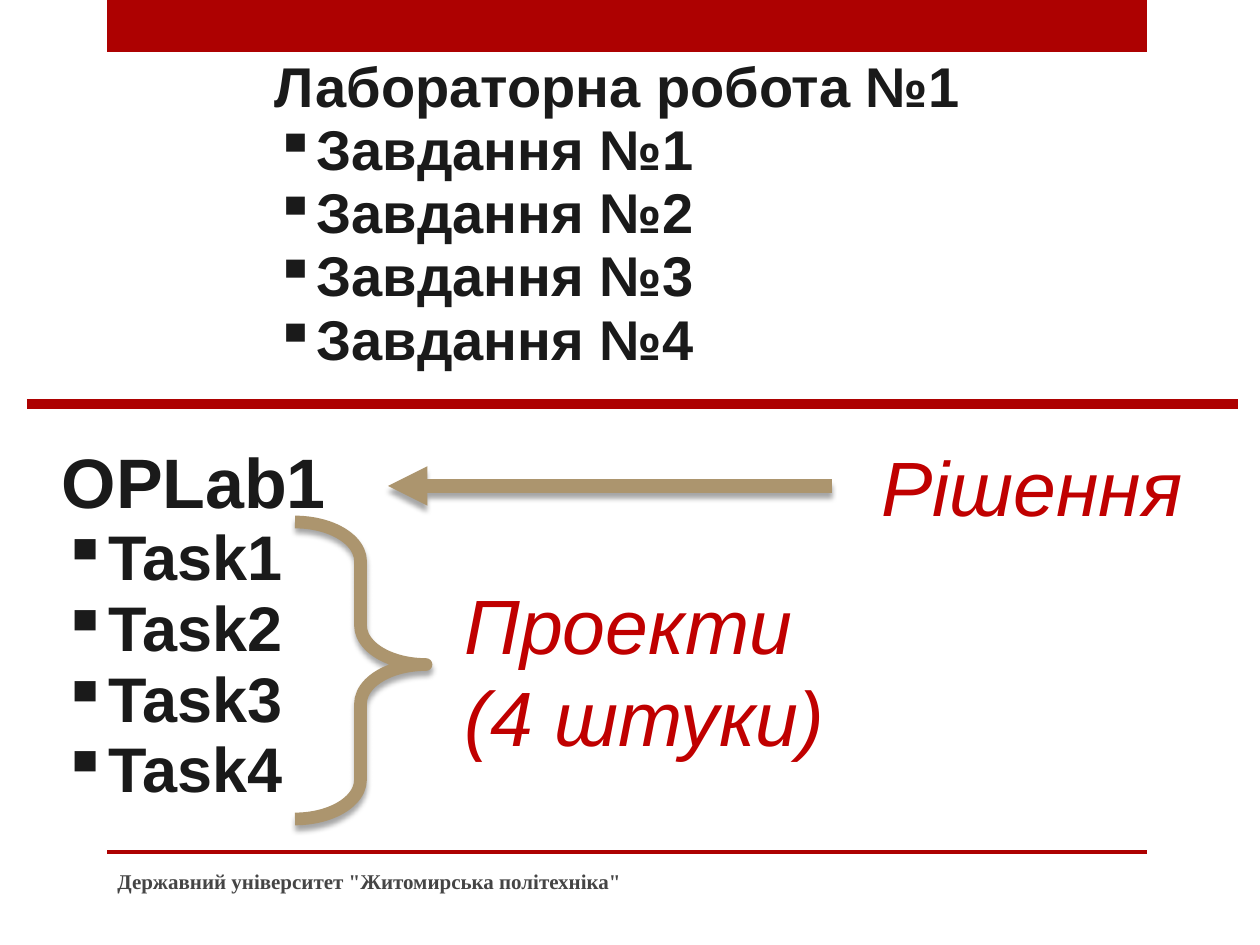
from dataclasses import dataclass

import lxml.etree
import pptx
import pptx.dml.color
import pptx.enum.shapes
import pptx.enum.text
import pptx.oxml
import pptx.oxml.ns
import pptx.util

PIXEL = 914400 // 126
COLORS = {"red": "AD0101", "accent": "C00000", "tan": "AC956E",
          "ink": "1A1A1A", "footer": "454545", "shadow": "000000"}
SHAPES = pptx.enum.shapes.MSO_SHAPE
ANCHORS = pptx.enum.text.MSO_ANCHOR


@dataclass
class Box:
    """A rectangle in pixels."""
    left: int
    top: int
    width: int
    height: int

    def emu(self) -> list[int]:
        """Return the rectangle in EMU."""
        return [side * PIXEL for side in (self.left, self.top, self.width, self.height)]


@dataclass
class Style:
    """The look of a paragraph."""
    size: int
    color: str
    bold: bool = False
    italic: bool = False
    font: str = "Arial"


@dataclass
class Outline:
    """A heading with bulleted items below it."""
    box: Box
    heading: str
    heading_size: int
    items: list[str]
    item_size: int


def rgb(name: str) -> pptx.dml.color.RGBColor:
    """Look up a named colour."""
    return pptx.dml.color.RGBColor.from_string(COLORS[name])


def add_child(parent, tag: str, **attributes: str):
    """Append a DrawingML element and return it."""
    child = lxml.etree.SubElement(parent, pptx.oxml.ns.qn(tag))
    for key, value in attributes.items():
        child.set(key, value)
    return child


def add_shadow(shape) -> None:
    """Give a shape a soft shadow that falls straight down."""
    properties = shape._element.spPr
    for effects in properties.findall(pptx.oxml.ns.qn("a:effectLst")):
        properties.remove(effects)
    effects = add_child(properties, "a:effectLst")
    shadow = add_child(effects, "a:outerShdw", blurRad="38100", dist="38100",
                       dir="5400000", rotWithShape="0")
    color = add_child(shadow, "a:srgbClr", val=COLORS["shadow"])
    add_child(color, "a:alpha", val="35000")


def add_bar(slide, box: Box) -> None:
    """Draw a plain red bar."""
    bar = slide.shapes.add_shape(SHAPES.RECTANGLE, *box.emu())
    bar.shadow.inherit = False
    bar.fill.solid()
    bar.fill.fore_color.rgb = rgb("red")
    bar.line.fill.background()


def add_line(slide, start: int, end: int, top: int, color: str, width: float):
    """Draw a horizontal line."""
    line = slide.shapes.add_connector(pptx.enum.shapes.MSO_CONNECTOR.STRAIGHT,
                                      start * PIXEL, top * PIXEL, end * PIXEL, top * PIXEL)
    line.line.color.rgb = rgb(color)
    line.line.width = pptx.util.Pt(width)
    add_child(line._element.spPr, "a:effectLst")
    return line


def add_brace(slide, box: Box) -> None:
    """Draw the right brace that gathers the projects."""
    brace = slide.shapes.add_shape(SHAPES.RIGHT_BRACE, *box.emu())
    brace.adjustments[0], brace.adjustments[1] = 0.3, 0.48
    brace.fill.background()
    brace.line.color.rgb = rgb("tan")
    brace.line.width = pptx.util.Pt(7.25)
    add_child(brace.line._get_or_add_ln(), "a:round")
    add_shadow(brace)


def style_paragraph(paragraph, text: str, style: Style) -> None:
    """Write a paragraph and set its font."""
    paragraph.text = text
    font = paragraph.font
    font.name, font.size = style.font, pptx.util.Pt(style.size)
    font.bold, font.italic = style.bold, style.italic
    font.color.rgb = rgb(style.color)


def add_text(slide, box: Box, text: str, style: Style, wrap: bool = True,
             anchor=ANCHORS.TOP) -> None:
    """Add a text box with one paragraph."""
    frame = slide.shapes.add_textbox(*box.emu()).text_frame
    frame.word_wrap = wrap
    frame.vertical_anchor = anchor
    style_paragraph(frame.paragraphs[0], text, style)


def add_outline(slide, outline: Outline) -> None:
    """Add a heading and its bulleted items."""
    frame = slide.shapes.add_textbox(*outline.box.emu()).text_frame
    frame.word_wrap = True
    for index, text in enumerate([outline.heading, *outline.items]):
        paragraph = frame.paragraphs[0] if index == 0 else frame.add_paragraph()
        size = outline.item_size if index else outline.heading_size
        style_paragraph(paragraph, text, Style(size, "ink", bold=True))
        paragraph.line_spacing = 0.9
        paragraph.space_before = pptx.util.Pt(1.5)
        properties = paragraph._p.get_or_add_pPr()
        margin, indent = (0.3, -0.25) if index else (0.05, 0)
        properties.set("marL", str(pptx.util.Inches(margin)))
        properties.set("indent", str(pptx.util.Inches(indent)))
        if index:
            bullet = pptx.oxml.parse_xml(
                f'<a:buChar {pptx.oxml.ns.nsdecls("a")} char="▪"/>')
            properties.find(pptx.oxml.ns.qn("a:defRPr")).addprevious(bullet)


OUTLINES = [
    Outline(Box(256, 53, 845, 354), "Лабораторна робота №1", 32,
            [f"Завдання №{number}" for number in range(1, 5)], 32),
    Outline(Box(43, 442, 845, 456), "OPLab1", 40,
            [f"Task{number}" for number in range(1, 5)], 36),
]

presentation = pptx.Presentation()
presentation.slide_width = 1260 * PIXEL
presentation.slide_height = 945 * PIXEL
slide = presentation.slides.add_slide(presentation.slide_layouts[6])

for bar_box in (Box(107, 0, 1040, 52), Box(107, 850, 1040, 4)):
    add_bar(slide, bar_box)
for outline in OUTLINES:
    add_outline(slide, outline)

arrow = add_line(slide, 832, 388, 486, "tan", 7.5)
add_child(arrow.line._get_or_add_ln(), "a:tailEnd", type="triangle")
add_shadow(arrow)
add_brace(slide, Box(295, 522, 131, 297))

label_style = Style(44, "accent", italic=True)
add_text(slide, Box(869, 433, 328, 106), "Рішення", label_style, wrap=False)
add_text(slide, Box(452, 571, 452, 199), "Проекти\v(4 штуки)", label_style)
add_line(slide, 27, 1238, 404, "red", 5.5)
add_text(slide, Box(105, 856, 672, 50), 'Державний університет "Житомирська політехніка"',
         Style(12, "footer", bold=True, font="Times New Roman"), anchor=ANCHORS.MIDDLE)
presentation.save("out.pptx")
